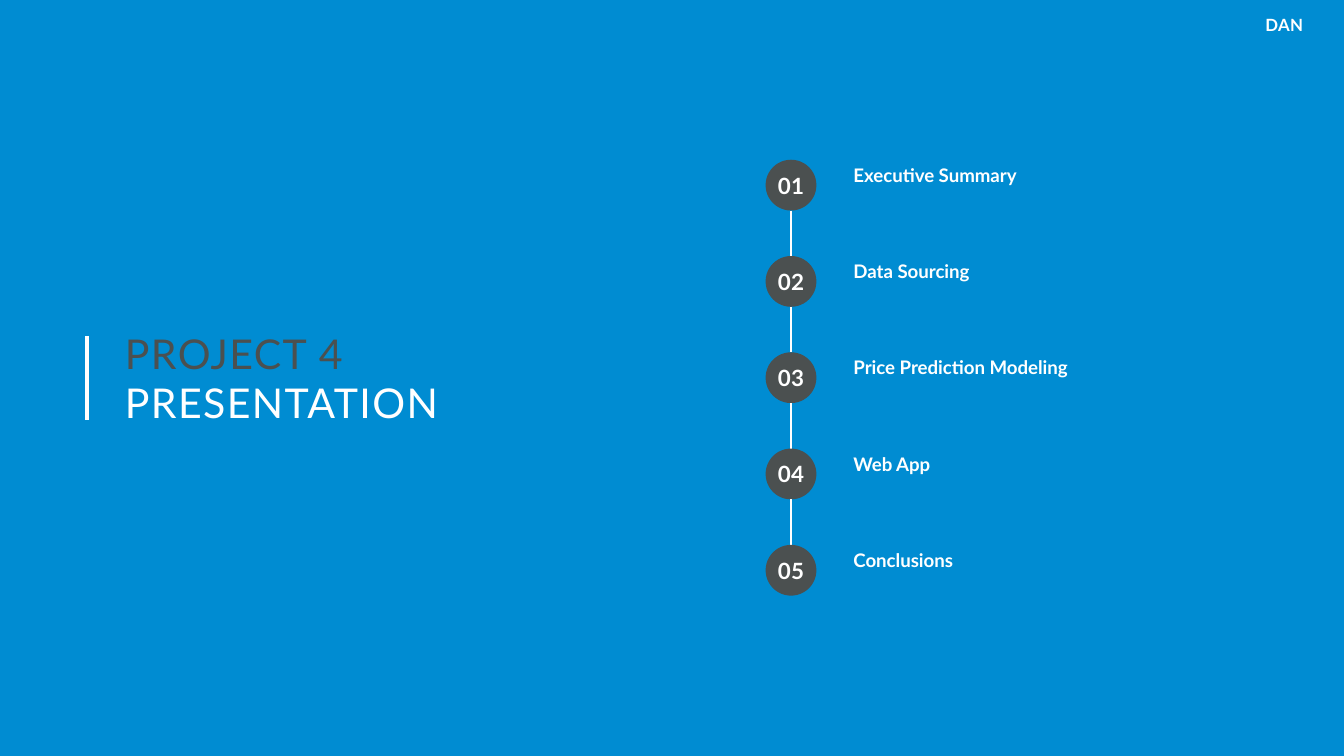
from lxml import etree
from pptx import Presentation
from pptx import util as u
from pptx.dml.color import RGBColor
from pptx.enum import shapes, text
from pptx.oxml.ns import qn

COLORS = {"blue": "008CD2", "gray": "4B5050", "white": "FFFFFF"}
TOPICS = ["Executive Summary", "Data Sourcing", "Price Prediction Modeling", "Web App", "Conclusions"]
PITCH = 1.82
CIRCLE_LEFT, CIRCLE_TOP, CIRCLE_SIZE = 14.47, 3.02, 0.96


def write(shape, lines, size, color, bold=True, align=text.PP_ALIGN.LEFT, spacing=0):
    frame = shape.text_frame
    frame.margin_left = frame.margin_top = frame.margin_right = frame.margin_bottom = 0
    frame.word_wrap = True
    frame.text = "\n".join(lines)
    for para in frame.paragraphs:
        para.alignment = align
        para.font.name = "Lato"
        para.font.size = u.Pt(size)
        para.font.bold = bold
        para.font.color.rgb = RGBColor.from_string(COLORS[color])
        para.font._rPr.set("spc", str(spacing))
    return frame


def add_line(page, x, top, bottom, width):
    line = page.shapes.add_connector(shapes.MSO_CONNECTOR.STRAIGHT, u.Cm(x), u.Cm(top), u.Cm(x), u.Cm(bottom))
    line.line.color.rgb = RGBColor.from_string(COLORS["white"])
    line.line.width = u.Pt(width)
    etree.SubElement(line._element.spPr, qn("a:effectLst"))


deck = Presentation()
deck.slide_width, deck.slide_height = u.Cm(25.4), u.Cm(14.29)
page = deck.slides.add_slide(deck.slide_layouts[5])
page.background.fill.solid()
page.background.fill.fore_color.rgb = RGBColor.from_string(COLORS["blue"])

add_line(page, 1.65, 6.35, 7.94, 2.25)
title = page.shapes.title
title.left, title.top, title.width, title.height = u.Cm(2.36), u.Cm(6.2), u.Cm(10.06), u.Cm(1.88)
frame = write(title, ["PROJECT 4", "PRESENTATION"], 22, "white", bold=False, spacing=80)
frame.vertical_anchor = text.MSO_ANCHOR.TOP
frame.auto_size = text.MSO_AUTO_SIZE.NONE
frame.paragraphs[0].font.color.rgb = RGBColor.from_string(COLORS["gray"])

for index, topic in enumerate(TOPICS):
    top = CIRCLE_TOP + index * PITCH
    circle = page.shapes.add_shape(
        shapes.MSO_SHAPE.OVAL, u.Cm(CIRCLE_LEFT), u.Cm(top), u.Cm(CIRCLE_SIZE), u.Cm(CIRCLE_SIZE))
    circle.shadow.inherit = False
    circle.fill.solid()
    circle.fill.fore_color.rgb = RGBColor.from_string(COLORS["gray"])
    circle.line.fill.background()
    frame = write(circle, [f"{index + 1:02}"], 12, "white", align=text.PP_ALIGN.CENTER, spacing=20)
    frame.vertical_anchor = text.MSO_ANCHOR.MIDDLE
    frame.word_wrap = False

    box = page.shapes.add_textbox(u.Cm(16.13), u.Cm(top + 0.03), u.Cm(4.57), u.Cm(0.43))
    frame = write(box, [topic], 10, "white")
    frame.paragraphs[0].line_spacing = 1.1

    if index < len(TOPICS) - 1:
        add_line(page, CIRCLE_LEFT + CIRCLE_SIZE / 2, top + CIRCLE_SIZE, top + PITCH, 1)

box = page.shapes.add_textbox(u.Cm(23.14), u.Cm(0.28), u.Cm(2.26), u.Cm(0.38))
write(box, ["DAN"], 9, "white", align=text.PP_ALIGN.CENTER, spacing=20)

deck.save("out.pptx")
